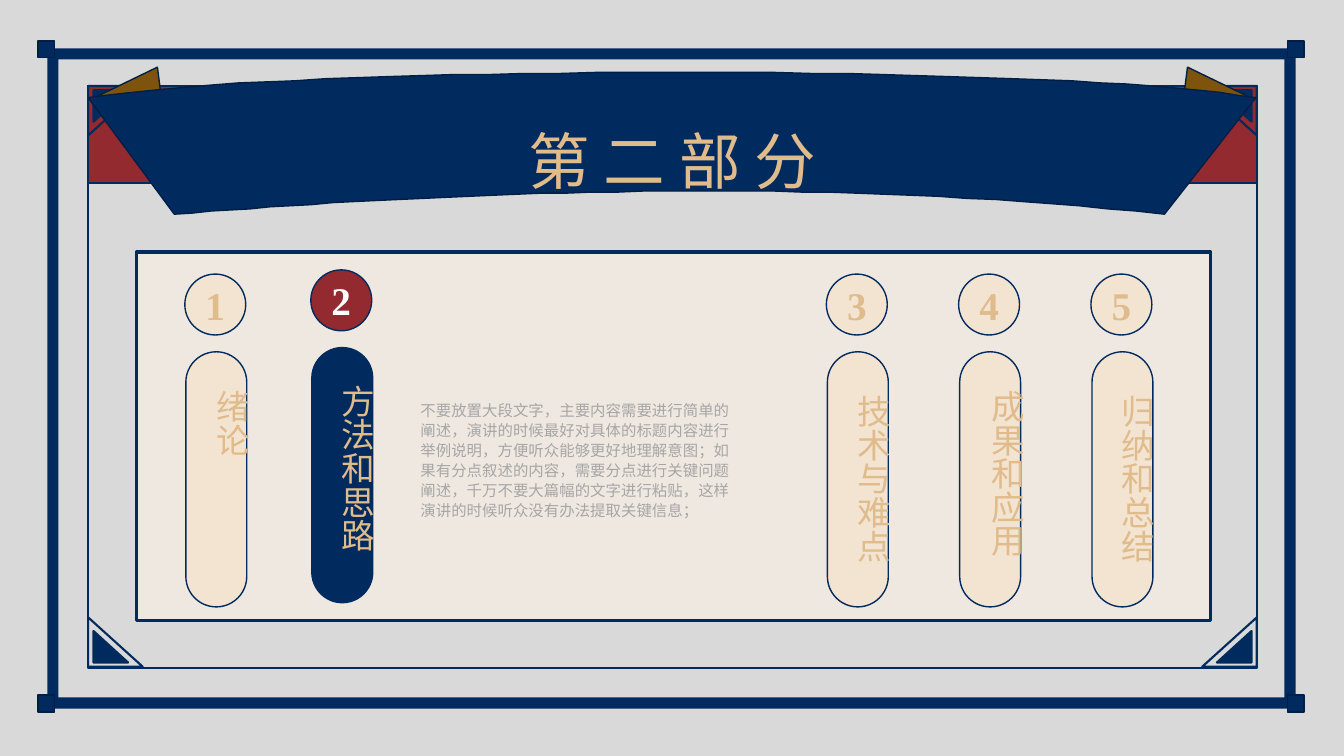
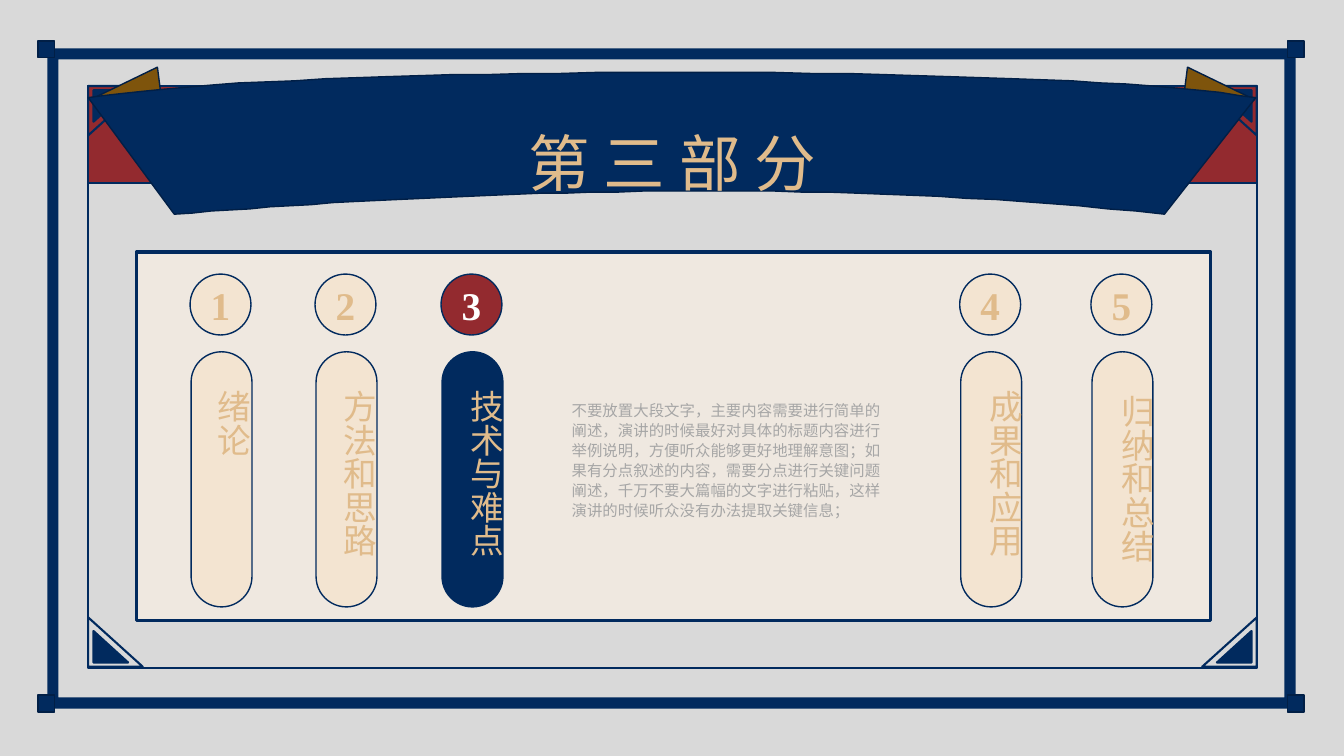
from lxml import etree
from pptx import Presentation
from pptx.dml.color import RGBColor
from pptx.enum.shapes import MSO_SHAPE
from pptx.enum.text import MSO_ANCHOR, MSO_AUTO_SIZE, PP_ALIGN
from pptx.oxml.ns import qn
from pptx.util import Pt

PX = 9525  # EMU per px, on a 1280 x 720 px slide
MIRROR = 1281  # left edge + right edge of the inner border
FLIP = 717  # top edge + bottom edge of the inner border

GREY = RGBColor(0xD9, 0xD9, 0xD9)
NAVY = RGBColor(0x01, 0x2A, 0x5E)
DARK_NAVY = RGBColor(0x01, 0x1F, 0x46)
RED = RGBColor(0x93, 0x2A, 0x2F)
BRONZE = RGBColor(0x7E, 0x54, 0x0C)
GOLD = RGBColor(0xE0, 0xBB, 0x8B)
CREAM = RGBColor(0xF3, 0xE4, 0xD1)
PAPER = RGBColor(0xEF, 0xE8, 0xE0)
BODY_GREY = RGBColor(0xA6, 0xA6, 0xA6)
WHITE = RGBColor(0xFF, 0xFF, 0xFF)

SANS = "Noto Sans CJK SC"
SERIF = "Times New Roman"
RECT, OVAL, PILL = MSO_SHAPE.RECTANGLE, MSO_SHAPE.OVAL, MSO_SHAPE.ROUNDED_RECTANGLE
FRAME, TRIANGLE = MSO_SHAPE.FRAME, MSO_SHAPE.RIGHT_TRIANGLE
CENTER, LEFT = PP_ALIGN.CENTER, PP_ALIGN.LEFT
MIDDLE, GROW = MSO_ANCHOR.MIDDLE, MSO_AUTO_SIZE.SHAPE_TO_FIT_TEXT

CHAPTERS = ["绪论", "方法和思路", "技术与难点", "成果和应用", "归纳和总结"]
ADVICE = (
    "不要放置大段文字，主要内容需要进行简单的阐述，演讲的时候最好对具体的标题内容进行举例说明，"
    "方便听众能够更好地理解意图；如果有分点叙述的内容，需要分点进行关键问题阐述，"
    "千万不要大篇幅的文字进行粘贴，这样演讲的时候听众没有办法提取关键信息；"
)
# title, title top, current chapter, advice left,
# then for each chapter: circle left, circle top, label left, label top
PARTS = [
    ("第二部分", 120, 2, 391, [
        (176, 261, 180, 362), (296, 257, 299, 357), (787, 261, 791, 367),
        (913, 261, 918, 362), (1039, 261, 1042, 367)]),
    ("第三部分", 122, 3, 535, [
        (181, 261, 181, 362), (300, 261, 301, 362), (420, 261, 422, 362),
        (914, 261, 916, 362), (1039, 261, 1042, 367)]),
]


def add_block(shapes, kind, box, fill=None, line=None, weight=1.0):
    """Add a preset shape at box (left, top, width, height in px)."""
    block = shapes.add_shape(kind, *[length * PX for length in box])
    block.shadow.inherit = False
    if fill is None:
        block.fill.background()
    else:
        block.fill.solid()
        block.fill.fore_color.rgb = fill
    if line is None:
        block.line.fill.background()
    else:
        block.line.color.rgb = line
        block.line.width = Pt(weight)
    return block


def write(shape, text, size, color, face=SANS, align=LEFT, spacing=1.0):
    """Put one paragraph in shape and return its default run properties."""
    shape.text_frame.word_wrap = True
    paragraph = shape.text_frame.paragraphs[0]
    paragraph.text = text
    paragraph.alignment = align
    paragraph.line_spacing = spacing
    paragraph.font.size = Pt(size)
    paragraph.font.bold = face == SERIF
    paragraph.font.color.rgb = color
    paragraph.font.name = face
    run_defaults = shape.element.find(".//" + qn("a:defRPr"))
    etree.SubElement(run_defaults, qn("a:ea")).set("typeface", face)
    return run_defaults


prs = Presentation()
prs.slide_width, prs.slide_height = 1280 * PX, 720 * PX
layout = prs.slide_layouts[6]
slides = [prs.slides.add_slide(layout) for _ in PARTS]

# Shared backdrop: drawn on the first slide, then moved to the layout
layout.background.fill.solid()
layout.background.fill.fore_color.rgb = GREY
backdrop = slides[0].shapes
frame = add_block(backdrop, FRAME, (45, 46, 1189, 629), NAVY)
frame.adjustments[0] = 0.017
for left in (36, 1226):
    for top in (39, 662):
        add_block(backdrop, RECT, (left, top, 16, 16), NAVY, DARK_NAVY)
add_block(backdrop, RECT, (84, 82, 1113, 554), None, NAVY, 1.5)
add_block(backdrop, RECT, (84, 82, 1113, 92), RED, NAVY, 1.5)

for at_bottom in (True, False):
    for at_right in (False, True):
        for left, top, width, height, fill in ((84, 82, 52, 47, None), (89, 86, 33, 30, NAVY)):
            if at_right:
                left = MIRROR - left - width
            if at_bottom:
                top = FLIP - top - height
            corner = add_block(backdrop, TRIANGLE, (left, top, width, height), fill, NAVY, 1.5)
            xfrm = corner.element.spPr.xfrm
            if at_right:
                xfrm.set("flipH", "1")
            if not at_bottom:
                xfrm.set("flipV", "1")

left_fold = [(86, 95), (150, 64), (156, 111)]
right_fold = [(MIRROR - x, y) for x, y in left_fold]
banner = []
for curve in (
    [(166, 204), (393, 186), (749, 165), (1109, 204)],
    [(1196, 93), (993, 60), (276, 62), (84, 93)],
):
    for step in range(41):
        t = step / 40
        weights = ((1 - t) ** 3, 3 * t * (1 - t) ** 2, 3 * t * t * (1 - t), t ** 3)
        banner.append(tuple(sum(w * point[axis] for w, point in zip(weights, curve))
                            for axis in (0, 1)))
for outline, fill in ((left_fold, BRONZE), (right_fold, BRONZE), (banner, NAVY)):
    builder = backdrop.build_freeform(*outline[0], scale=PX)
    builder.add_line_segments(outline[1:], close=True)
    ribbon = builder.convert_to_shape()
    ribbon.shadow.inherit = False
    ribbon.fill.solid()
    ribbon.fill.fore_color.rgb = fill
    ribbon.line.color.rgb = DARK_NAVY
    ribbon.line.width = Pt(1)

for part in list(backdrop):
    layout.shapes.element.append(part.element)

for slide, (title, title_top, current, advice_left, columns) in zip(slides, PARTS):
    shapes = slide.shapes
    heading = shapes.add_textbox(240 * PX, title_top * PX, 801 * PX, 65 * PX)
    write(heading, title, 44, GOLD, align=CENTER, spacing=0.9).set("spc", "1000")
    heading.text_frame.auto_size = GROW
    add_block(shapes, RECT, (130, 240, 1023, 351), PAPER, NAVY, 2.25)

    for number, (chapter, column) in enumerate(zip(CHAPTERS, columns), 1):
        left, top, label_left, label_top = column
        active = number == current
        circle = add_block(shapes, OVAL, (left, top, 58, 58), RED if active else CREAM, NAVY)
        write(circle, str(number), 28, WHITE if active else GOLD, SERIF, CENTER)
        circle.text_frame.vertical_anchor = MIDDLE
        pill = add_block(shapes, PILL, (left + 1, top + 74, 58, 243),
                         NAVY if active else CREAM, NAVY)
        pill.adjustments[0] = 0.5
        label = shapes.add_textbox(label_left * PX, label_top * PX, 59 * PX, 218 * PX)
        write(label, chapter, 24, GOLD, spacing=0.85)
        label.element.txBody.bodyPr.set("vert", "eaVert")

    advice = shapes.add_textbox(advice_left * PX, 376 * PX, 325 * PX, 146 * PX)
    write(advice, ADVICE, 11, BODY_GREY, spacing=1.08)

prs.save("out.pptx")
